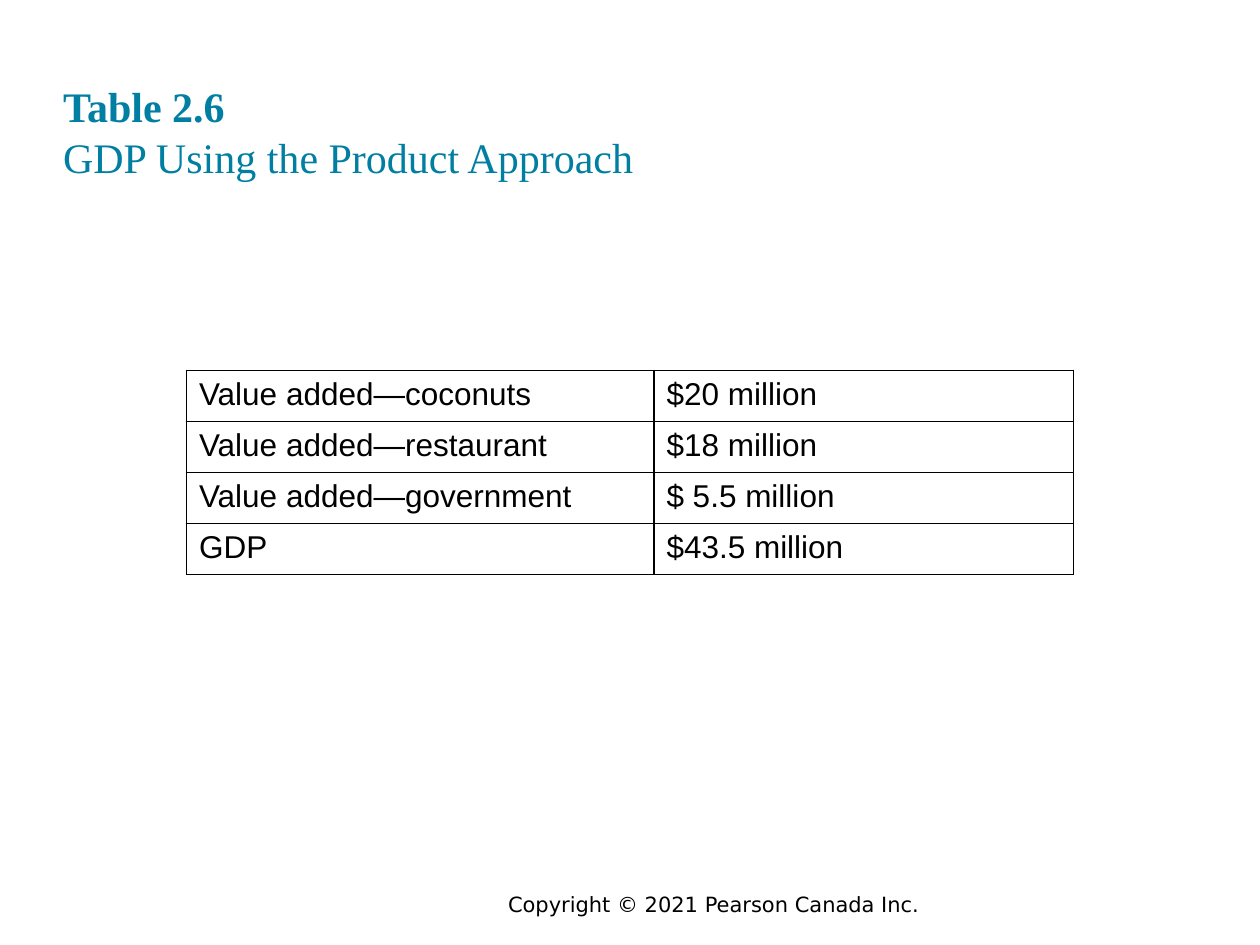
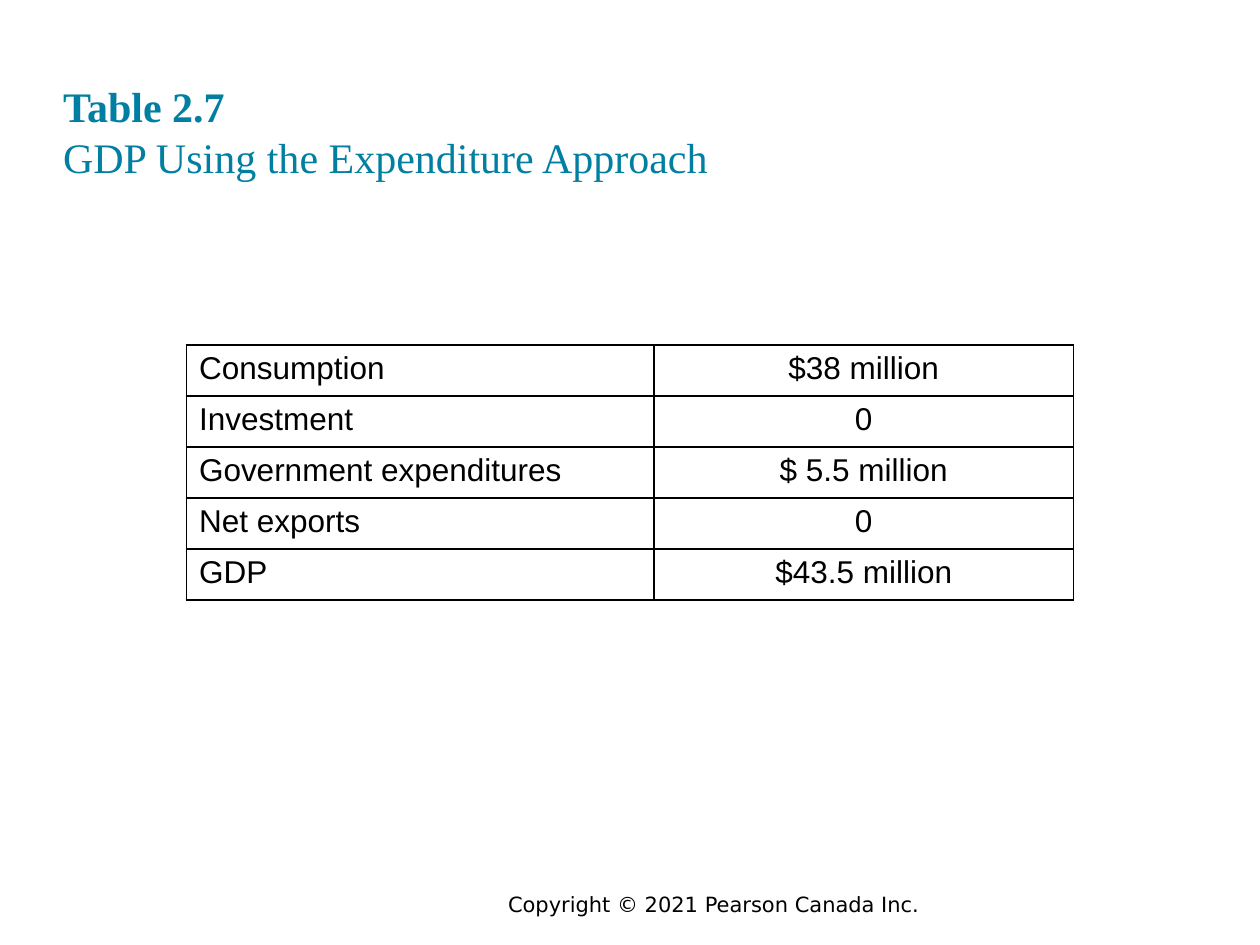
"""Build two slides that tabulate GDP by the product and expenditure approaches."""
from dataclasses import dataclass

from lxml.etree import SubElement
from pptx import Presentation
from pptx.dml.color import RGBColor
from pptx.enum.text import MSO_ANCHOR, MSO_AUTO_SIZE, PP_ALIGN
from pptx.oxml.ns import qn
from pptx.util import Inches, Pt


@dataclass(frozen=True)
class Theme:
    teal: str = "007FA3"
    black: str = "000000"
    title_font: str = "Times New Roman"
    table_font: str = "Arial"
    footer_font: str = "DejaVu Sans"
    title_size: int = 24
    table_size: int = 18
    footer_size: int = 12
    border_width: int = 1


THEME = Theme()
COPYRIGHT = "Copyright © 2021 Pearson Canada Inc."
COLUMN_WIDTHS = (Inches(3.71), Inches(3.33))
ROW_HEIGHT = Inches(0.405)

TABLES = [
    ("Table 2.6", "GDP Using the Product Approach", PP_ALIGN.LEFT, [
        ("Value added—coconuts", "$20 million"),
        ("Value added—restaurant", "$18 million"),
        ("Value added—government", "$ 5.5 million"),
        ("GDP", "$43.5 million"),
    ]),
    ("Table 2.7", "GDP Using the Expenditure Approach", PP_ALIGN.CENTER, [
        ("Consumption", "$38 million"),
        ("Investment", "0"),
        ("Government expenditures", "$ 5.5 million"),
        ("Net exports", "0"),
        ("GDP", "$43.5 million"),
    ]),
]


def style_text(para, name, size, color, align, bold=False):
    """Format every run of a paragraph and align it."""
    para.alignment = align
    for span in para.runs:
        span.font.name = name
        span.font.size = Pt(size)
        span.font.bold = bold
        span.font.color.rgb = RGBColor.from_string(color)


def add_borders(cell):
    """Draw a solid line on all four sides of a cell."""
    properties = cell._tc.get_or_add_tcPr()
    for side in ("a:lnL", "a:lnR", "a:lnT", "a:lnB"):
        line = SubElement(properties, qn(side), w=str(Pt(THEME.border_width)))
        fill = SubElement(line, qn("a:solidFill"))
        SubElement(fill, qn("a:srgbClr"), val=THEME.black)


deck = Presentation()
deck.slide_width = Inches(10)
deck.slide_height = Inches(7.5)
title_only = deck.slide_layouts[5]

for number, subject, value_align, entries in TABLES:
    page = deck.slides.add_slide(title_only)

    footer = page.shapes.add_textbox(Inches(1.75), Inches(7.03), Inches(7.83), Inches(0.3))
    footer.text_frame.word_wrap = True
    footer.text_frame.text = COPYRIGHT
    style_text(footer.text_frame.paragraphs[0], THEME.footer_font, THEME.footer_size,
               THEME.black, PP_ALIGN.CENTER)

    title = page.shapes.title
    title.left, title.top = Inches(0.5), Inches(0.24)
    title.width, title.height = Inches(9), Inches(1.2)
    frame = title.text_frame
    frame.margin_left = frame.margin_right = frame.margin_top = frame.margin_bottom = 0
    frame.vertical_anchor = MSO_ANCHOR.BOTTOM
    frame.auto_size = MSO_AUTO_SIZE.NONE
    frame.text = f"{number}\n{subject}"
    for para, bold in zip(frame.paragraphs, (True, False)):
        style_text(para, THEME.title_font, THEME.title_size, THEME.teal, PP_ALIGN.LEFT, bold)

    width, height = sum(COLUMN_WIDTHS), ROW_HEIGHT * len(entries)
    left, top = (deck.slide_width - width) // 2, (deck.slide_height - height) // 2
    table = page.shapes.add_table(len(entries), len(COLUMN_WIDTHS), left, top, width, height).table
    table.first_row = table.horz_banding = False
    for column, column_width in zip(table.columns, COLUMN_WIDTHS):
        column.width = column_width
    for row, entry in zip(table.rows, entries):
        row.height = ROW_HEIGHT
        for cell, text, align in zip(row.cells, entry, (PP_ALIGN.LEFT, value_align)):
            add_borders(cell)
            cell.fill.background()
            cell.text_frame.text = text
            style_text(cell.text_frame.paragraphs[0], THEME.table_font, THEME.table_size,
                       THEME.black, align)

deck.save("out.pptx")
